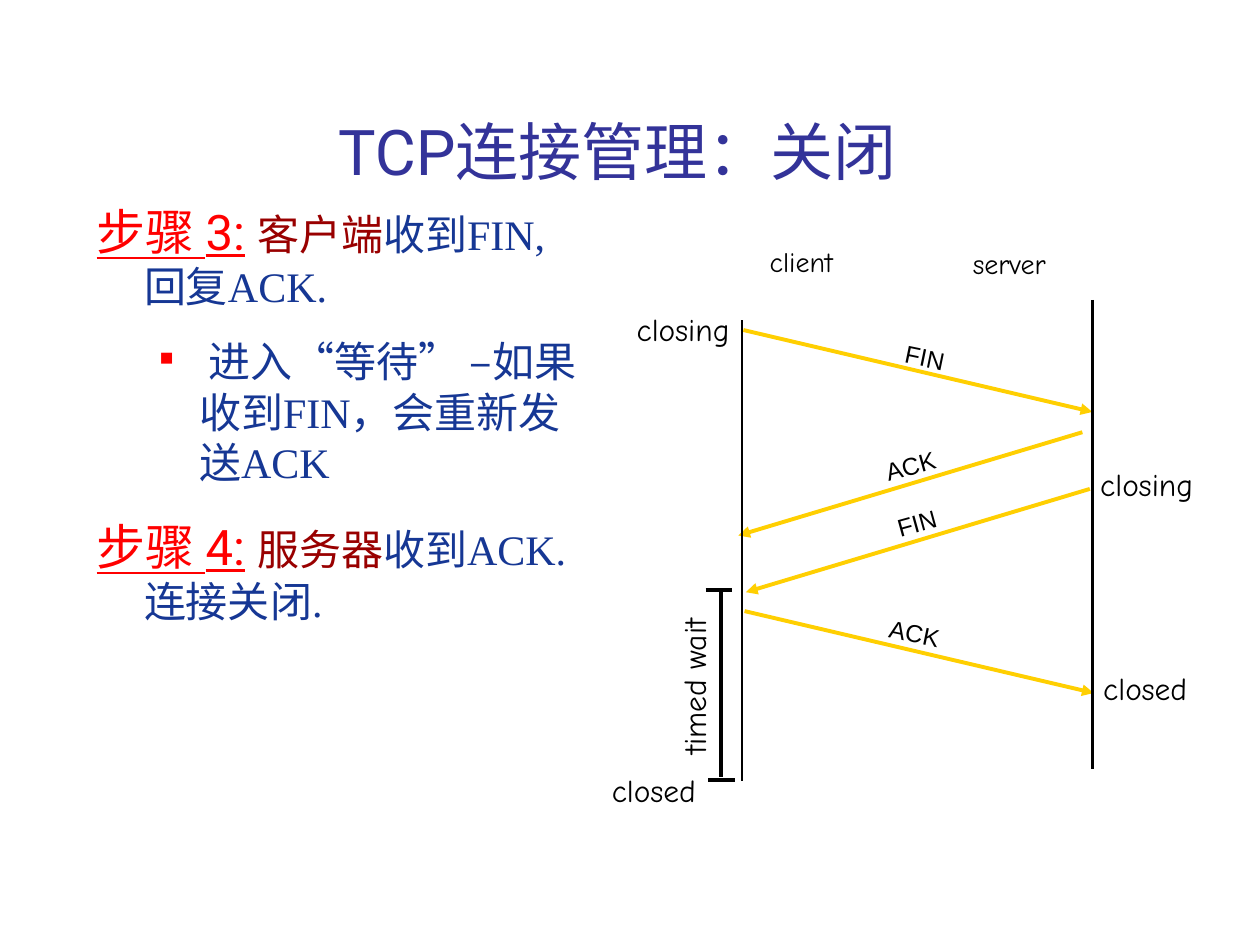
"""Build the slide on closing a TCP connection, with its message timeline."""
from typing import Any, NamedTuple

from lxml.etree import SubElement
from pptx import Presentation
from pptx.dml.color import RGBColor
from pptx.enum.shapes import MSO_CONNECTOR as Connector
from pptx.enum.text import MSO_ANCHOR as Anchor, PP_ALIGN as Align
from pptx.oxml.ns import qn
from pptx.util import Pt

BLACK, YELLOW, RED, DARK_RED, BLUE, INDIGO = (
    "000000", "FFCF01", "FF0000", "990000", "163794", "333399")
HEADING = {"name": "Roboto", "size": Pt(28), "underline": True}
BODY = {"name": "Times New Roman", "size": Pt(24)}
GAP = {"name": "Roboto", "size": Pt(28)}


class Box(NamedTuple):
    left: float
    top: float
    width: float
    height: float


class Label(NamedTuple):
    text: str
    box: Box
    size: float
    font: str = "Comic Neue"
    angle: float = 0


class Line(NamedTuple):
    x1: float
    y1: float
    x2: float
    y2: float
    color: str = BLACK
    width: float = 2.25
    arrow: bool = False


class Piece(NamedTuple):
    text: str
    color: str
    style: dict[str, Any]


class Item(NamedTuple):
    pieces: list[Piece]
    margin: float
    indent: float
    before: float
    bullet: str = ""


def step(number: int, actor: str, action: str, before: float) -> Item:
    """Return a numbered step with a hanging indent."""
    return Item([Piece(f"步骤 {number}:", RED, HEADING), Piece(" ", BLACK, GAP),
                 Piece(actor, DARK_RED, BODY), Piece(action, BLUE, BODY)],
                27, -27, before)


def message(x1: float, y1: float, x2: float, y2: float) -> Line:
    """Return the arrow of one message between the two hosts."""
    return Line(x1, y1, x2, y2, YELLOW, arrow=True)


ITEMS = [
    step(3, "客户端", "收到FIN, 回复ACK.", 0),
    Item([Piece(" ", BLACK, BODY),
          Piece("进入“等待” –如果收到FIN，会重新发送ACK", BLUE, BODY)],
         58.5, -22.5, 14.4, "■"),
    step(4, "服务器", "收到ACK. 连接关闭.", 16.8),
]
LINES = [
    message(424.8, 188.6, 624.2, 235.4),
    message(618.5, 247, 421.9, 306),
    message(622.8, 279.4, 426.2, 338.4),
    message(425.5, 349.2, 625, 396),
    Line(424.1, 182.9, 424.1, 446.4, width=1.5),
    Line(624.2, 171.4, 624.2, 439.2, width=1.5),
    Line(411.8, 338.4, 411.8, 444.2),
    Line(403.2, 337, 418.3, 337),
    Line(404.6, 445.7, 419.8, 445.7),
]
LABELS = [
    Label("client", Box(429.8, 136.1, 56.2, 26.6), 16),
    Label("server", Box(545, 137.5, 63.4, 26.6), 16),
    Label("closing", Box(355, 173.5, 70.6, 28.8), 18),
    Label("closing", Box(619.9, 262.1, 70.6, 28.8), 18),
    Label("closed", Box(339.8, 437, 67.7, 28.8), 18),
    Label("closed", Box(620.6, 378.7, 67.7, 28.8), 18),
    Label("timed wait", Box(344.9, 378, 103, 28.8), 18, angle=270),
    Label("FIN", Box(503.6, 192.2, 50, 23.8), 14, "Arial", 11.8),
    Label("ACK", Box(412.6, 254.2, 215.3, 23.8), 14, "Arial", 344.6),
    Label("FIN", Box(416.2, 286.6, 215.3, 23.8), 14, "Arial", 344.6),
    Label("ACK", Box(497.7, 349.9, 50, 23.8), 14, "Arial", 11.8),
]


def rgb(color: str) -> RGBColor:
    """Turn a hex string into a colour."""
    return RGBColor.from_string(color)


def add_run(paragraph: Any, piece: Piece) -> None:
    """Append one formatted run."""
    run = paragraph.add_run()
    run.text = piece.text
    for name, value in piece.style.items():
        setattr(run.font, name, value)
    run.font.color.rgb = rgb(piece.color)


def add_box(slide: Any, box: Box, wrap: bool = True) -> Any:
    """Add an empty text box."""
    shape = slide.shapes.add_textbox(*map(Pt, box))
    shape.text_frame.word_wrap = wrap
    return shape


def add_label(slide: Any, label: Label) -> None:
    """Add a centred label, turned about its middle."""
    shape = add_box(slide, label.box, wrap=False)
    shape.rotation = label.angle
    paragraph = shape.text_frame.paragraphs[0]
    paragraph.alignment = Align.CENTER
    style = {"name": label.font, "size": Pt(label.size)}
    add_run(paragraph, Piece(label.text, BLACK, style))


def add_line(slide: Any, line: Line) -> None:
    """Add a straight line, with an arrowhead if it is a message."""
    ends = map(Pt, (line.x1, line.y1, line.x2, line.y2))
    connector = slide.shapes.add_connector(Connector.STRAIGHT, *ends)
    connector.line.color.rgb = rgb(line.color)
    connector.line.width = Pt(line.width)
    properties = connector.line._get_or_add_ln()
    if line.arrow:
        SubElement(properties, qn("a:tailEnd"), type="triangle")
    SubElement(properties.getparent(), qn("a:effectLst"))


def add_item(paragraph: Any, item: Item) -> None:
    """Fill one paragraph of the step list."""
    if item.before:
        paragraph.space_before = Pt(item.before)
    properties = paragraph._p.get_or_add_pPr()
    properties.set("marL", str(Pt(item.margin)))
    properties.set("indent", str(Pt(item.indent)))
    if item.bullet:
        paragraph.level = 1
        tint = SubElement(properties, qn("a:buClr"))
        SubElement(tint, qn("a:srgbClr"), val=RED)
        SubElement(properties, qn("a:buSzPct"), val="45000")
        SubElement(properties, qn("a:buChar"), char=item.bullet)
    for piece in item.pieces:
        add_run(paragraph, piece)


def main() -> None:
    """Build and save the slide."""
    deck = Presentation()
    deck.slide_width, deck.slide_height = Pt(720), Pt(540)
    slide = deck.slides.add_slide(deck.slide_layouts[6])

    title = add_box(slide, Box(46.8, 40.3, 612, 70.6)).text_frame
    title.vertical_anchor = Anchor.BOTTOM
    title.paragraphs[0].alignment = Align.CENTER
    add_run(title.paragraphs[0], Piece("TCP连接管理：关闭", INDIGO,
                                       {"name": "Roboto", "size": Pt(36)}))

    steps = add_box(slide, Box(48.2, 111.6, 295.9, 272.9)).text_frame
    for index, item in enumerate(ITEMS):
        add_item(steps.add_paragraph() if index else steps.paragraphs[0], item)

    for line in LINES:
        add_line(slide, line)
    for label in LABELS:
        add_label(slide, label)
    deck.save("out.pptx")


if __name__ == "__main__":
    main()
